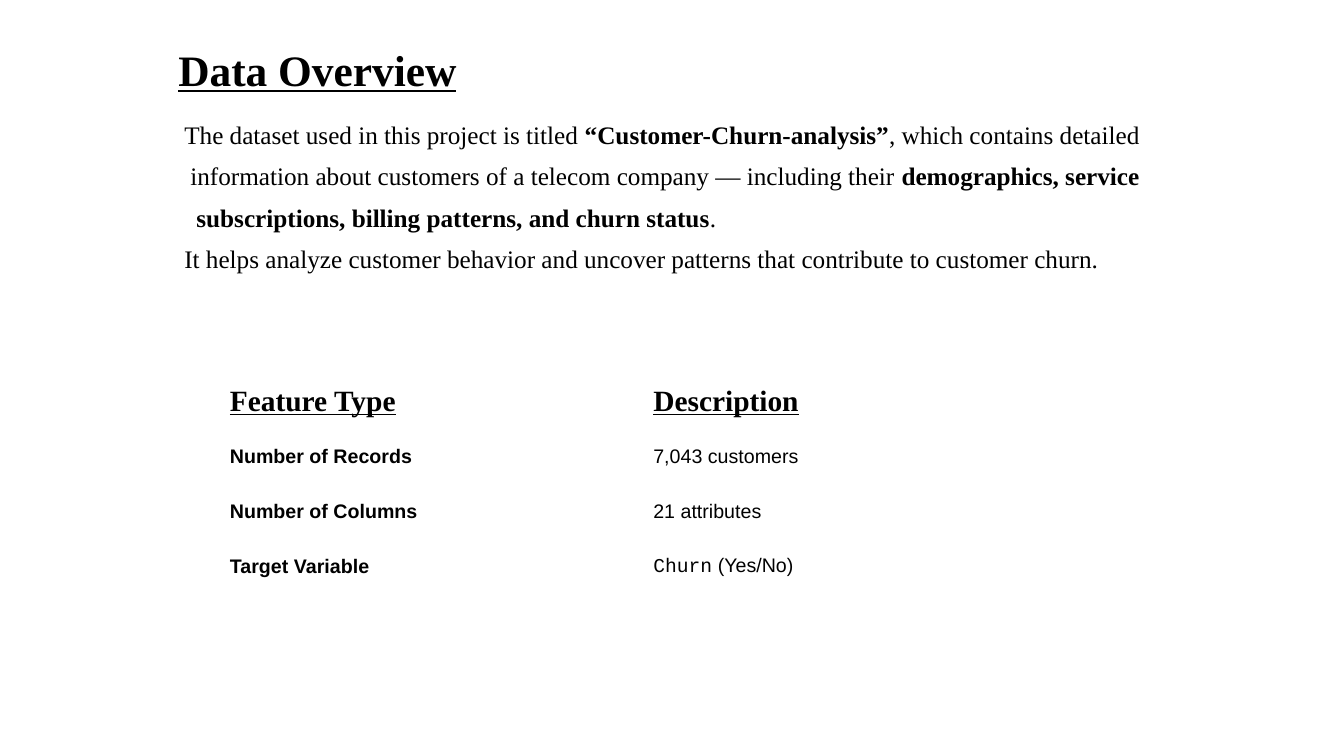
from pptx import Presentation
from pptx.dml.color import RGBColor
from pptx.enum.text import MSO_ANCHOR
from pptx.util import Inches, Pt

TITLE = "Data Overview"
INTRO = [
    (0, [("The dataset used in this project is titled ", False),
         ("“Customer-Churn-analysis”", True),
         (", which contains detailed", False)]),
    (1, [("information about customers of a telecom company — including their ", False),
         ("demographics, service", True)]),
    (2, [("subscriptions, billing patterns, and churn status", True), (".", False)]),
    (0, [("It helps analyze customer behavior and uncover patterns that "
          "contribute to customer churn.", False)]),
]
HEADS = ["Feature Type", "Description"]
FACTS = [
    ("Number of Records", [("7,043 customers", "body")]),
    ("Number of Columns", [("21 attributes", "body")]),
    ("Target Variable", [("Churn", "code"), (" (Yes/No)", "body")]),
]

THEME = {
    "ink": RGBColor(0, 0, 0),
    "title": {"name": "Times New Roman", "size": Pt(31), "bold": True, "underline": True},
    "intro": {"name": "Times New Roman", "size": Pt(18)},
    "head": {"name": "Times New Roman", "size": Pt(21), "bold": True, "underline": True},
    "label": {"name": "Arial", "size": Pt(14), "bold": True},
    "body": {"name": "Arial", "size": Pt(14), "bold": False},
    "code": {"name": "Courier New", "size": Pt(14), "bold": False},
}
LEFT, WIDTH, STEP = 1.67, 10, 0.06
COL, ROW = 4.2, 0.545


def write(para, text, style, **extra):
    run = para.add_run()
    run.text = text
    for key, value in {**THEME[style], **extra}.items():
        setattr(run.font, key, value)
    run.font.color.rgb = THEME["ink"]


def add_text(slide, top, height, anchor):
    box = slide.shapes.add_textbox(Inches(LEFT), Inches(top), Inches(WIDTH), Inches(height))
    frame = box.text_frame
    frame.word_wrap = True
    frame.vertical_anchor = anchor
    return frame


def add_intro(slide):
    frame = add_text(slide, 1.17, 5.57, MSO_ANCHOR.TOP)
    for num, (level, runs) in enumerate(INTRO):
        para = frame.add_paragraph() if num else frame.paragraphs[0]
        para.line_spacing = 0.9
        para.space_before = Pt(10)
        props = para._p.get_or_add_pPr()
        props.set("marL", str(Inches(0.5)))
        props.set("indent", str(Inches(STEP * (level + 1) - 0.5)))
        for text, bold in runs:
            write(para, text, "intro", bold=bold)


def add_facts(slide):
    rows = [[[(head, "head")] for head in HEADS]]
    rows += [[[(label, "label")], runs] for label, runs in FACTS]
    table = slide.shapes.add_table(
        len(rows), len(HEADS), Inches(2.18), Inches(3.71),
        Inches(COL * len(HEADS)), Inches(ROW * len(rows))).table
    table.first_row = table.horz_banding = False
    for r, row in enumerate(rows):
        for c, runs in enumerate(row):
            cell = table.cell(r, c)
            cell.fill.background()
            cell.vertical_anchor = MSO_ANCHOR.MIDDLE
            for text, style in runs:
                write(cell.text_frame.paragraphs[0], text, style)


def main():
    deck = Presentation()
    deck.slide_width, deck.slide_height = Inches(13.33), Inches(7.5)
    slide = deck.slides.add_slide(deck.slide_layouts[6])
    para = add_text(slide, 0.3, 0.7, MSO_ANCHOR.BOTTOM).paragraphs[0]
    para.line_spacing = 0.9
    write(para, TITLE, "title")
    add_intro(slide)
    add_facts(slide)
    deck.save("out.pptx")


if __name__ == "__main__":
    main()
